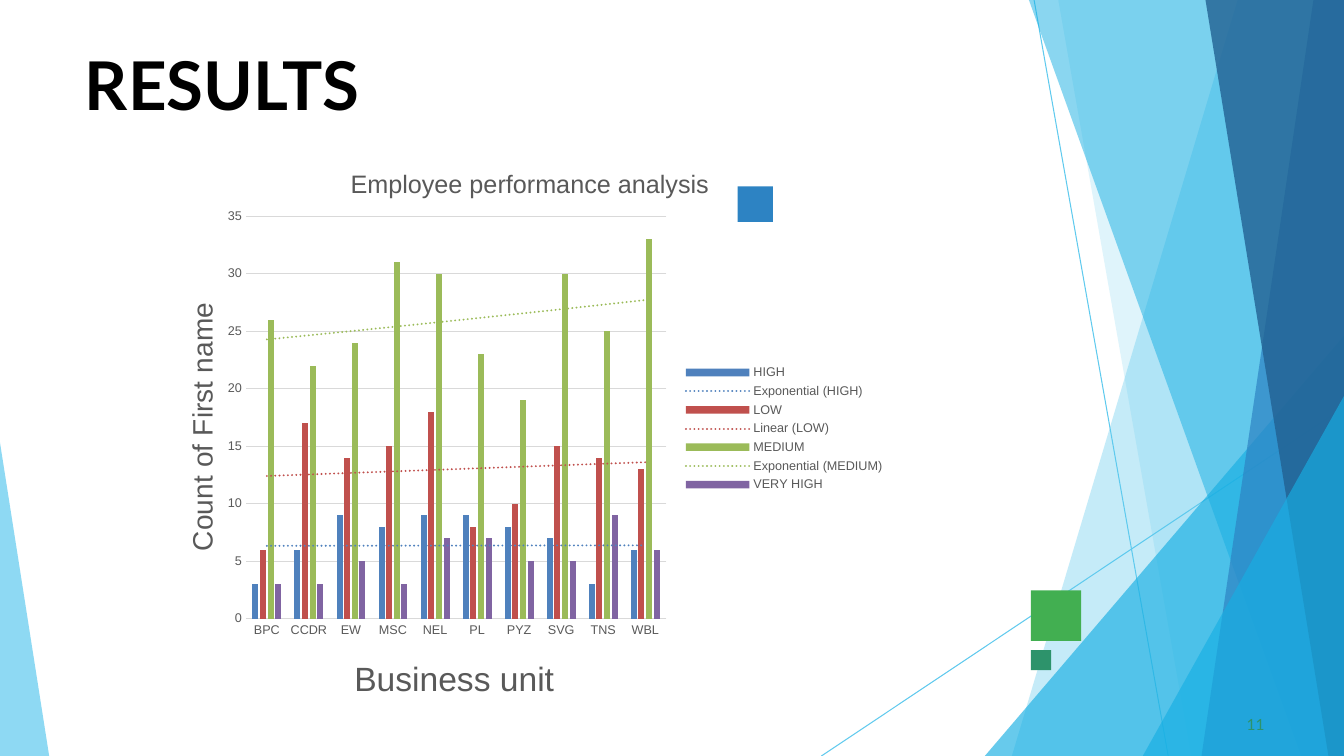
from lxml import etree
from pptx import Presentation, oxml
from pptx.chart import data as chart_data
from pptx.dml import color as dml
from pptx.enum import chart as charts, shapes, text
from pptx.oxml import ns
from pptx.util import Cm, Pt

COLORS = {
    "black": "000000", "gray": "595959", "grid": "D9D9D9",
    "sky": "5FCAEE", "cyan": "17AFE3", "blue": "2D83C3", "navy": "226192",
    "green": "42AF51", "teal": "2D936B",
    "HIGH": "4F81BD", "LOW": "C0504D", "MEDIUM": "9BBB59", "VERY HIGH": "8064A2",
}
RGB = {name: dml.RGBColor.from_string(value) for name, value in COLORS.items()}
WIDTH, HEIGHT = 33.87, 19.05


def paint(shape, color, opacity=100):
    """Give a shape a plain, optionally transparent fill without line or shadow."""
    shape.shadow.inherit = False
    shape.line.fill.background()
    shape.fill.solid()
    shape.fill.fore_color.rgb = RGB[color]
    if opacity < 100:
        tone = shape.fill._xPr.find(".//" + ns.qn("a:srgbClr"))
        etree.SubElement(tone, ns.qn("a:alpha"), val=str(opacity * 1000))


def place(element, index, **fractions):
    """Set a manual layout, in fractions of the chart, on a title or plot area."""
    for old in element.findall(ns.qn("c:layout")):
        element.remove(old)
    layout = etree.Element(ns.qn("c:layout"))
    manual = etree.SubElement(layout, ns.qn("c:manualLayout"))
    if "w" in fractions:
        etree.SubElement(manual, ns.qn("c:layoutTarget"), val="inner")
    for mode in ("xMode", "yMode"):
        etree.SubElement(manual, ns.qn("c:" + mode), val="edge")
    for key, value in fractions.items():
        etree.SubElement(manual, ns.qn("c:" + key), val=str(value))
    element.insert(index, layout)


deck = Presentation()
deck.slide_width, deck.slide_height = Cm(WIDTH), Cm(HEIGHT)
slide = deck.slides.add_slide(deck.slide_layouts[5])

# Background lines and panels
for ends in [(26.06, 0, 29.44, HEIGHT), (WIDTH, 10.26, 20.7, HEIGHT)]:
    line = slide.shapes.add_connector(
        shapes.MSO_CONNECTOR.STRAIGHT, *[Cm(value) for value in ends])
    line.line.color.rgb = RGB["sky"]
    line.line.width = Pt(0.75)
    etree.SubElement(line._element.spPr, ns.qn("a:effectLst"))

# edge x, top x, top y, bottom x, colour, opacity
panels = [
    (WIDTH, 31.19, 0, 25.5, "sky", 36),
    (WIDTH, 26.67, 0, 30.02, "sky", 20),
    (WIDTH, WIDTH, 8.46, 24.82, "cyan", 65),
    (WIDTH, 25.93, 0, 32.79, "cyan", 50),
    (WIDTH, 33.1, 0, 30.28, "blue", 70),
    (WIDTH, 30.38, 0, 33.48, "navy", 80),
    (WIDTH, WIDTH, 9.98, 28.8, "cyan", 65),
    (0, 0, 11.15, 1.24, "sky", 70),
]
for edge, top_x, top_y, bottom_x, color, opacity in panels:
    outline = slide.shapes.build_freeform(Cm(edge), Cm(top_y))
    corners = [(top_x, top_y), (bottom_x, HEIGHT), (edge, HEIGHT)]
    outline.add_line_segments([(Cm(x), Cm(y)) for x, y in corners], close=True)
    paint(outline.convert_to_shape(), color, opacity)

for left, top, side, color in [
    (25.98, 14.88, 1.27, "green"), (18.59, 4.7, 0.89, "blue"), (25.98, 16.38, 0.51, "teal"),
]:
    square = slide.shapes.add_shape(
        shapes.MSO_SHAPE.RECTANGLE, Cm(left), Cm(top), Cm(side), Cm(side))
    paint(square, color)

# Title and page number
title = slide.shapes.title
title.left, title.top, title.width, title.height = Cm(2.11), Cm(1.07), Cm(24.38), Cm(16.13)
number = slide.shapes.add_textbox(Cm(31.32), Cm(17.98), Cm(0.64), Cm(0.53))
for box, words, size, color, indent in [
    (title, "RESULTS", 48, "black", 0.03), (number, "11", 11, "teal", 0.1),
]:
    frame = box.text_frame
    frame.text = words
    frame.word_wrap = True
    frame.auto_size = text.MSO_AUTO_SIZE.NONE
    frame.vertical_anchor = text.MSO_ANCHOR.TOP
    frame.margin_left, frame.margin_right = Cm(indent), 0
    frame.margin_top, frame.margin_bottom = Cm(0.03), 0
    para = frame.paragraphs[0]
    para.alignment = text.PP_ALIGN.LEFT
    font = para.runs[0].font
    font.name, font.size, font.bold = "Lato", Pt(size), box is title
    font.color.rgb = RGB[color]

# Chart
ratings = chart_data.CategoryChartData()
ratings.categories = ["BPC", "CCDR", "EW", "MSC", "NEL", "PL", "PYZ", "SVG", "TNS", "WBL"]
ratings.add_series("HIGH", [3, 6, 9, 8, 9, 9, 8, 7, 3, 6])
ratings.add_series("LOW", [6, 17, 14, 15, 18, 8, 10, 15, 14, 13])
ratings.add_series("MEDIUM", [26, 22, 24, 31, 30, 23, 19, 30, 25, 33])
ratings.add_series("VERY HIGH", [3, 3, 5, 3, 7, 7, 5, 5, 9, 6])
chart = slide.shapes.add_chart(
    charts.XL_CHART_TYPE.COLUMN_CLUSTERED,
    Cm(3.86), Cm(3.61), Cm(18.69), Cm(14.38), ratings).chart
chart.font.name, chart.font.size = "Arial", Pt(10)
chart._chartSpace.find(ns.qn("c:chart")).addnext(oxml.parse_xml(
    f'<c:spPr {ns.nsdecls("c", "a")}><a:noFill/><a:ln><a:noFill/></a:ln></c:spPr>'))
place(chart._chartSpace.chart.plotArea, 0, x=0.125, y=0.128, w=0.567, h=0.705)

plot = chart.plots[0]
plot.gap_width, plot.overlap, plot.vary_by_categories = 219, -27, False
trends = {"HIGH": "exp", "LOW": "linear", "MEDIUM": "exp"}
for series in plot.series:
    series.format.fill.solid()
    series.format.fill.fore_color.rgb = RGB[series.name]
    if series.name in trends:
        trendline = oxml.parse_xml(
            f'<c:trendline {ns.nsdecls("c", "a")}><c:spPr><a:ln w="19050" cap="rnd">'
            f'<a:solidFill><a:srgbClr val="{COLORS[series.name]}"/></a:solidFill>'
            '<a:prstDash val="sysDot"/></a:ln></c:spPr>'
            f'<c:trendlineType val="{trends[series.name]}"/>'
            '<c:dispRSqr val="0"/><c:dispEq val="0"/></c:trendline>')
        series._element.find(ns.qn("c:cat")).addprevious(trendline)

units, counts = chart.category_axis, chart.value_axis
for axis in (units, counts):
    axis.major_tick_mark = axis.minor_tick_mark = charts.XL_TICK_MARK.NONE
units.format.line.color.rgb = RGB["grid"]
units.format.line.width = Pt(0.75)
counts.format.line.fill.background()
counts.minimum_scale, counts.maximum_scale, counts.major_unit = 0, 35, 5
counts.major_gridlines.format.line.color.rgb = RGB["grid"]
counts.major_gridlines.format.line.width = Pt(0.75)

chart.has_legend = True
chart.legend.position = charts.XL_LEGEND_POSITION.RIGHT
chart.legend.include_in_layout = False
for font in (units.tick_labels.font, counts.tick_labels.font, chart.legend.font):
    font.name, font.size = "Arial", Pt(9)
    font.color.rgb = RGB["gray"]

for heading, words, size, x, y in [
    (chart.chart_title, "Employee performance analysis", 18, 0.26, 0.035),
    (units.axis_title, "Business unit", 24, 0.263, 0.89),
    (counts.axis_title, "Count of First name", 20, 0.035, 0.27),
]:
    heading.text_frame.text = words
    font = heading.text_frame.paragraphs[0].runs[0].font
    font.name, font.size, font.bold = "Arial", Pt(size), False
    font.color.rgb = RGB["gray"]
    place(heading._element, 1, x=x, y=y)
counts.axis_title.text_frame._txBody.bodyPr.set("rot", "-5400000")

deck.save("out.pptx")
